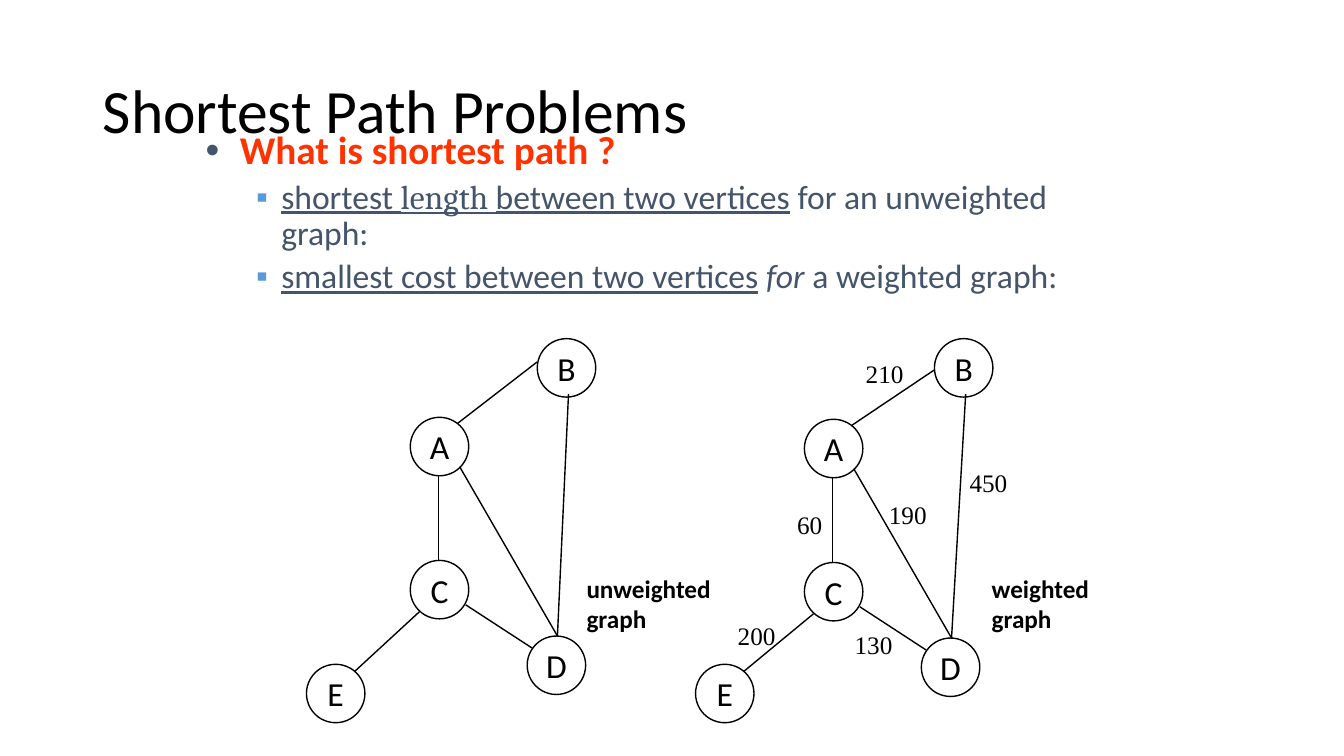
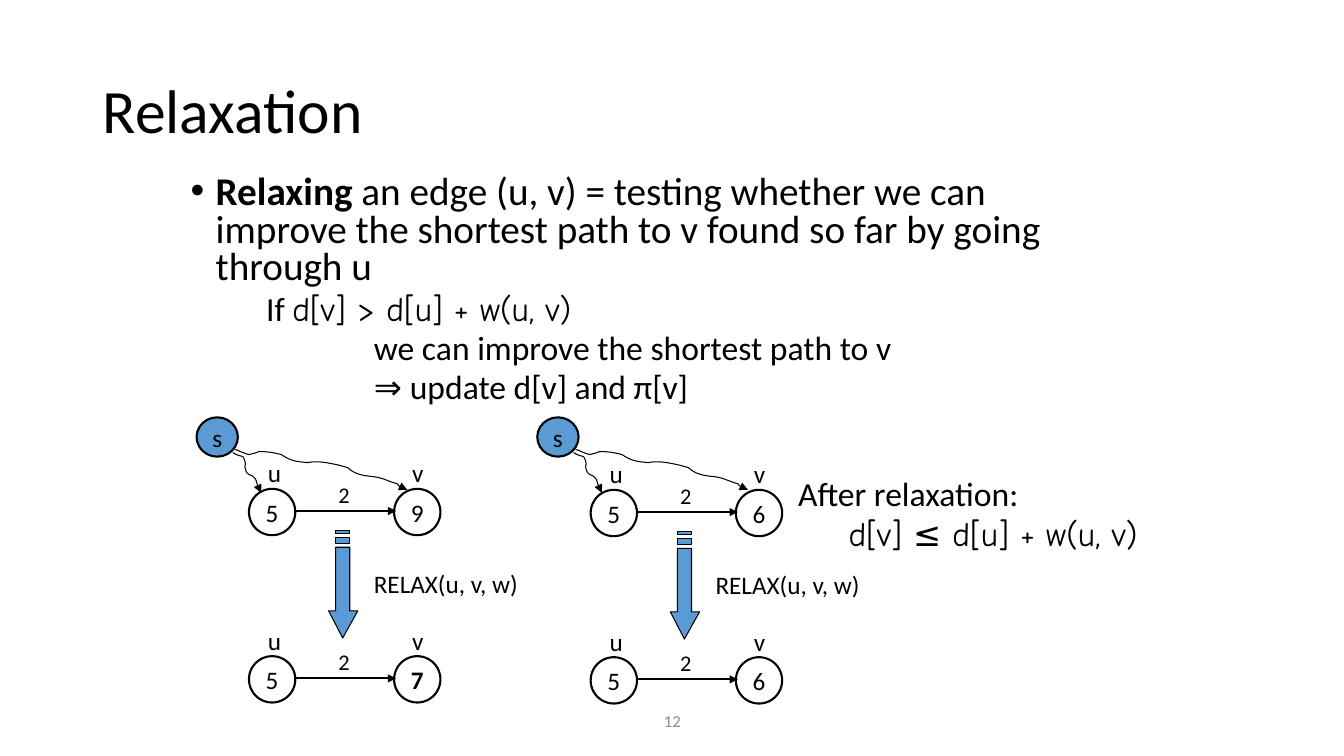
from dataclasses import dataclass
from typing import NamedTuple

from lxml.etree import SubElement
from pptx import Presentation
from pptx.dml.color import RGBColor
from pptx.enum.shapes import MSO_CONNECTOR, MSO_SHAPE
from pptx.enum.text import MSO_ANCHOR, MSO_AUTO_SIZE, PP_ALIGN
from pptx.oxml.ns import qn
from pptx.util import Inches, Pt

# The slide is a grid of 133.33 columns by 75 rows, each a tenth of an inch
CELL = Inches(0.1)
COLUMNS, ROWS = 133.33, 75
COLORS = {"ink": "000000", "slate": "44546A", "red": "FF3300",
          "blue": "5B9BD5", "gray": "8C8C8C"}
SANS, SERIF, BOOK, HAND = "Calibri", "Times New Roman", "Cambria", "Comic Neue"


class Span(NamedTuple):
    text: str
    font: str | None = None
    bold: bool | None = None
    italic: bool | None = None
    underline: bool | None = None


@dataclass(frozen=True)
class Line:
    """A paragraph; indents are in columns."""
    spans: tuple[Span, ...]
    size: float = 18
    font: str = SANS
    color: str = "ink"
    bold: bool = False
    align: PP_ALIGN = PP_ALIGN.LEFT
    level: int = 0
    left: float = 0
    hanging: float = 0
    bullet: str = ""
    bullet_color: str = "ink"
    spacing: float = 1.0
    before: float = 0


@dataclass(frozen=True)
class Graph:
    nodes: dict[str, tuple[float, float]]
    b_joint: float
    caption: str
    caption_at: tuple[float, float, float, float]
    weights: tuple[tuple[str, float, float, float], ...] = ()


@dataclass(frozen=True)
class Step:
    left: float
    top: float
    v_value: str
    v_bold: bool = False


def cells(*values: float) -> list[int]:
    return [round(value * CELL) for value in values]


def rgb(name: str) -> RGBColor:
    return RGBColor.from_string(COLORS[name])


# Text
def plain(text: str, **style) -> Line:
    return Line((Span(text),), **style)


def write(box, lines: list[Line], wrap=True, anchor=MSO_ANCHOR.TOP) -> None:
    frame = box.text_frame
    frame.word_wrap = wrap
    frame.auto_size = MSO_AUTO_SIZE.NONE
    frame.vertical_anchor = anchor
    for index, line in enumerate(lines):
        para = frame.add_paragraph() if index else frame.paragraphs[0]
        para.alignment, para.level = line.align, line.level
        para.line_spacing, para.space_before = line.spacing, Pt(line.before)
        properties = para._p.get_or_add_pPr()
        left, hanging = cells(line.left, line.hanging)
        properties.set("marL", str(left))
        properties.set("indent", str(-hanging))
        if line.bullet:
            color = SubElement(properties, qn("a:buClr"))
            SubElement(color, qn("a:srgbClr")).set("val", COLORS[line.bullet_color])
            SubElement(properties, qn("a:buChar")).set("char", line.bullet)
        else:
            SubElement(properties, qn("a:buNone"))
        para.font.size, para.font.name = Pt(line.size), line.font
        para.font.bold = line.bold
        para.font.color.rgb = rgb(line.color)
        for span in line.spans:
            run = para.add_run()
            run.text = span.text
            if span.font:
                run.font.name = span.font
            run.font.bold, run.font.italic = span.bold, span.italic
            run.font.underline = span.underline


def add_text(page, place, lines: list[Line], wrap=False, anchor=MSO_ANCHOR.TOP) -> None:
    write(page.shapes.add_textbox(*cells(*place)), lines, wrap, anchor)


# Shapes
def outline(shape, width: float, arrow: bool = False) -> None:
    shape.line.color.rgb = rgb("ink")
    shape.line.width = Pt(width)
    if arrow:
        SubElement(shape.line._get_or_add_ln(), qn("a:tailEnd")).set("type", "triangle")


def paint(shape, fill: str | None, width: float, arrow: bool = False) -> None:
    shape.shadow.inherit = False
    if fill:
        shape.fill.solid()
        shape.fill.fore_color.rgb = rgb(fill)
    else:
        shape.fill.background()
    outline(shape, width, arrow)


def add_node(page, place, label: str, size: float, width: float,
             fill: str | None = None, bold: bool = False) -> None:
    node = page.shapes.add_shape(MSO_SHAPE.OVAL, *cells(*place))
    paint(node, fill, width)
    write(node, [plain(label, size=size, bold=bold, align=PP_ALIGN.CENTER)],
          wrap=False, anchor=MSO_ANCHOR.MIDDLE)


def add_edge(page, start, end, width: float, arrow: bool = False) -> None:
    edge = page.shapes.add_connector(MSO_CONNECTOR.STRAIGHT, *cells(*start, *end))
    outline(edge, width, arrow)
    SubElement(edge._element.spPr, qn("a:effectLst"))


def add_outline(page, contours, closed: bool, fill: str | None, arrow: bool) -> None:
    points = [[tuple(cells(*point)) for point in contour] for contour in contours]
    builder = page.shapes.build_freeform(*points[0][0])
    for index, contour in enumerate(points):
        if index:
            builder.move_to(*contour[0])
        builder.add_line_segments(contour[1:], close=closed)
    paint(builder.convert_to_shape(), fill, 0.75, arrow)


def smooth_points(controls, dx: float, steps: int = 6):
    """Sample a chain of cubic curves, moved right by dx."""
    points = [controls[0]]
    for first in range(0, len(controls) - 1, 3):
        a, b, c, d = controls[first:first + 4]
        for step in range(1, steps + 1):
            t = step / steps
            shares = ((1 - t) ** 3, 3 * t * (1 - t) ** 2, 3 * t * t * (1 - t), t ** 3)
            points.append(tuple(sum(share * point[axis] for share, point
                                    in zip(shares, (a, b, c, d))) for axis in (0, 1)))
    return [(x + dx, y) for x, y in points]


# Pages
def add_page(deck, title: str, body_place, body_lines: list[Line]):
    page = deck.slides.add_slide(deck.slide_layouts[1])
    heading, body = page.shapes.title, page.placeholders[1]
    for box, place in ((heading, (9.2, 4, 115, 14.5)), (body, body_place)):
        box.left, box.top, box.width, box.height = cells(*place)
    write(heading, [plain(title, size=44, spacing=0.9)], anchor=MSO_ANCHOR.MIDDLE)
    write(body, body_lines)
    return page


# Edge ends are offsets from the corner of each node
NODE = 5.8
EDGES = [
    ("D", (3, 0), "B", (3.1, 5.5)),
    ("A", (4.9, 4.9), "D", (3, 0)),
    ("C", (2.8, 0.1), "A", (2.8, 5.8)),
    ("E", (4.8, 0.7), "C", (0.9, 5.1)),
    ("C", (5.5, 4.4), "D", (0.5, 1.2)),
]
GRAPHS = [
    Graph({"A": (40.7, 41.4), "B": (53.3, 33.6), "C": (40.7, 55.6),
           "D": (52.3, 63.1), "E": (30.4, 65.9)},
          2.3, "unweighted graph", (57.2, 56.4, 16.5, 7)),
    Graph({"A": (79.8, 41.6), "B": (92.7, 33.6), "C": (79.8, 55.8),
           "D": (91.4, 63.3), "E": (69, 65.9)},
          3.1, "weighted graph", (97.4, 56.4, 15.7, 7),
          (("200", 72.2, 61.1, 5.8), ("60", 78.1, 50, 4.5), ("130", 83.8, 61.9, 5.8),
           ("190", 87.2, 49, 5.8), ("450", 95.2, 45.9, 5.8), ("210", 84.9, 35.1, 5.8))),
]


def draw_graph(page, graph: Graph) -> None:
    for label, corner in graph.nodes.items():
        add_node(page, (*corner, NODE, NODE), label, 24, 1)
    for start, start_offset, end, end_offset in [
            *EDGES, ("A", (4.7, 0.6), "B", (0, graph.b_joint))]:
        ends = [tuple(map(sum, zip(graph.nodes[name], offset)))
                for name, offset in ((start, start_offset), (end, end_offset))]
        add_edge(page, *ends, 1)
    for weight, left, top, width in graph.weights:
        add_text(page, (left, top, width, 4), [plain(weight, font=SERIF)])
    add_text(page, graph.caption_at, [plain(graph.caption, bold=True)], wrap=True)


def build_problems(deck) -> None:
    item = dict(size=24, color="slate", level=1, left=7.5, hanging=2.5,
                bullet="▪", bullet_color="blue", spacing=0.9, before=5)
    page = add_page(deck, "Shortest Path Problems", (19.4, 12.5, 90.6, 39.3), [
        plain("What is shortest path ?", size=28, color="red", bold=True, left=3.4,
              hanging=3.4, bullet="•", bullet_color="slate", spacing=0.9),
        Line((Span("shortest ", underline=True), Span("length ", BOOK, underline=True),
              Span("between two vertices", underline=True),
              Span(" for an unweighted graph:")), **item),
        Line((Span("smallest cost between two vertices", underline=True),
              Span(" for", italic=True), Span(" a weighted graph:")), **item),
    ])
    for graph in GRAPHS:
        draw_graph(page, graph)


# Relaxation: the right column is the left one, moved
STEPS = [Step(24.7, 48.5, "9"), Step(24.7, 65.1, "7", True),
         Step(58.6, 48.6, "6"), Step(58.6, 65.2, "6")]
SHORT_PATH = [
    (23.1, 44.9), (23.4, 45.1), (23.7, 45.2), (24.1, 45.3), (24.3, 45.7), (24.4, 45.9),
    (24.3, 46.3), (24.4, 46.9), (24.5, 47), (25, 47.2), (25.6, 47.6), (25.3, 47.8),
    (25.7, 48.4), (25.8, 48.8), (25.7, 48.6), (25.9, 48.9)]
LONG_PATH = [
    (23.3, 44.6), (24.3, 44.9), (22.8, 44.4), (24.1, 44.9), (24.3, 45), (24.7, 45.1),
    (24.7, 45.1), (25.5, 44.9), (25.2, 45), (25.7, 44.8), (26.5, 44.8), (27.1, 44.9),
    (27.9, 45.1), (28.8, 45.7), (29.3, 45.8), (30.5, 45.9), (31.5, 45.7), (32.4, 45.9),
    (33.4, 46.1), (33.8, 46.2), (34.5, 46.4), (34.5, 46.4), (35.2, 47.1), (36.1, 47.2),
    (37.1, 47.3), (38, 47.4), (38.6, 47.8), (39.4, 48), (39.5, 48.2), (39.9, 48.4),
    (40, 48.5), (40.1, 48.5), (40.4, 48.6), (40.4, 48.6)]


def draw_step(page, step: Step) -> None:
    left, top = step.left, step.top
    add_node(page, (left, top, 4.6, 4.6), "5", 18, 1.5)
    add_node(page, (left + 14.4, top, 4.6, 4.6), step.v_value, 18, 1.5, bold=step.v_bold)
    add_edge(page, (left + 4.5, top + 2.2), (left + 14.6, top + 2.2), 1.5, arrow=True)
    for text, dx, dy, size in (("2", 7.9, -1.3, 16), ("u", 0.9, -3.6, 18),
                               ("v", 15.2, -3.6, 18)):
        add_text(page, (left + dx, top + dy, 3.4, 4), [plain(text, size=size)])


def draw_relax_arrow(page, left: float, top: float) -> None:
    head = [(2.9, 8), (2.1, 8), (2.1, 1.7), (0.7, 1.7), (0.7, 8), (0, 8), (1.4, 10.7)]
    stripes = [[(0.7, high), (2.1, high), (2.1, low), (0.7, low)]
               for high, low in ((0, 0.3), (0.7, 1.3))]
    contours = [[(left + x, top + y) for x, y in part] for part in (head, *stripes)]
    add_outline(page, contours, closed=True, fill="blue", arrow=False)
    add_text(page, (left + 3.5, top + 3.3, 16.5, 4), [plain("RELAX(u, v, w)")])


def build_relaxation(deck) -> None:
    detail = dict(size=24, level=1, spacing=0.8, before=5)
    page = add_page(deck, "Relaxation", (17.9, 16.9, 90, 26.6), [
        Line((Span("Relaxing ", bold=True),
              Span("an edge (u, v) = testing whether we can improve the shortest "
                   "path to v found so far by going through u")),
             size=28, left=2.5, hanging=2.5, bullet="•", spacing=0.8),
        Line((Span("If "), Span("d[v] > d[u] + w(u, v)", HAND)), left=7.5, **detail),
        plain("we can improve the shortest path to v", left=18.2, **detail),
        plain("⇒ update d[v] and π[v]", left=18.2, **detail),
    ])
    for step in STEPS:
        draw_step(page, step)
    for left, top in ((32.6, 52.6), (66.5, 52.7)):
        draw_relax_arrow(page, left, top)
    for shift in (0, 33.8):
        add_node(page, (19.5 + shift, 41.4, 4.1, 3.9), "s", 18, 1.5, fill="blue")
        for controls in (SHORT_PATH, LONG_PATH):
            add_outline(page, [smooth_points(controls, shift)], closed=False,
                        fill=None, arrow=True)
    add_text(page, (78.2, 46.4, 37.1, 9.1), [
        plain("After relaxation:", size=24),
        plain("d[v] ≤ d[u] + w(u, v)", size=24, font=HAND, level=1, left=5)], wrap=True)
    add_text(page, (44.2, 69.5, 45, 4),
             [plain("12", size=12, color="gray", align=PP_ALIGN.CENTER)],
             wrap=True, anchor=MSO_ANCHOR.MIDDLE)


def main() -> None:
    deck = Presentation()
    deck.slide_width, deck.slide_height = cells(COLUMNS, ROWS)
    build_problems(deck)
    build_relaxation(deck)
    deck.save("out.pptx")


if __name__ == "__main__":
    main()
